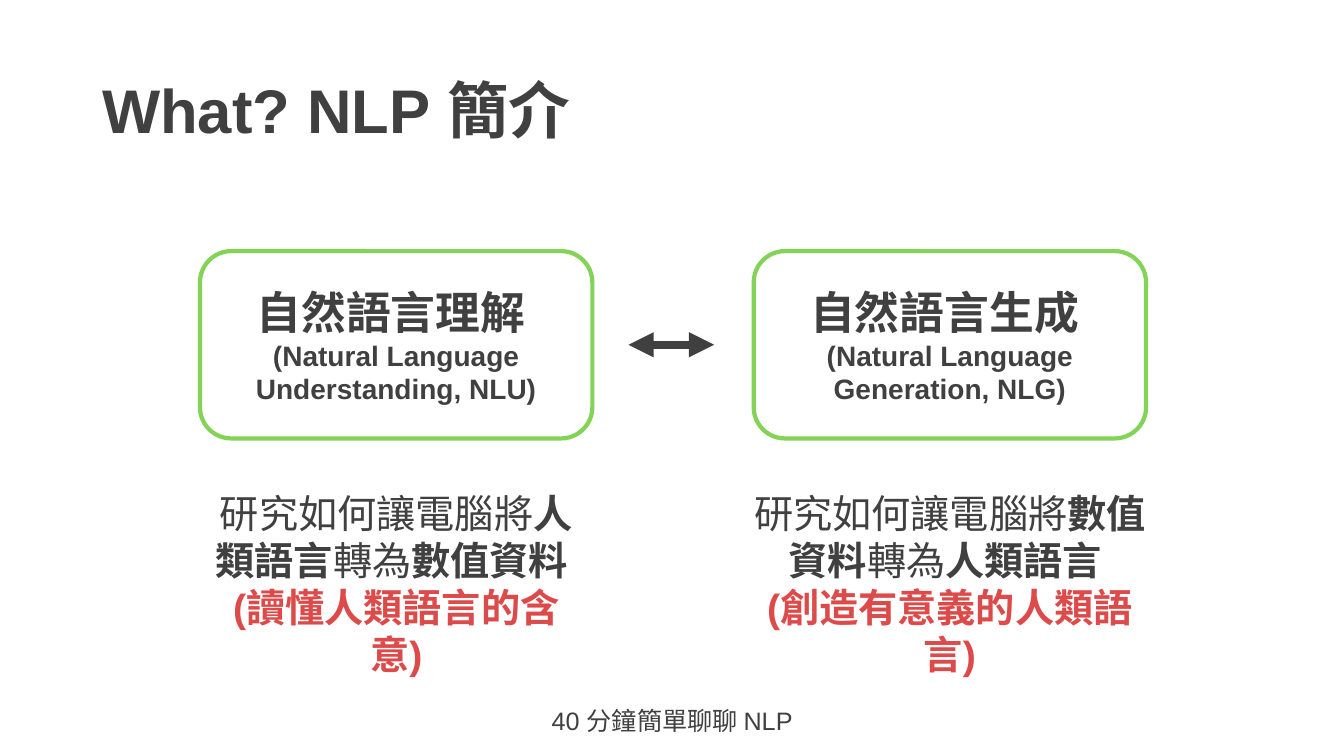
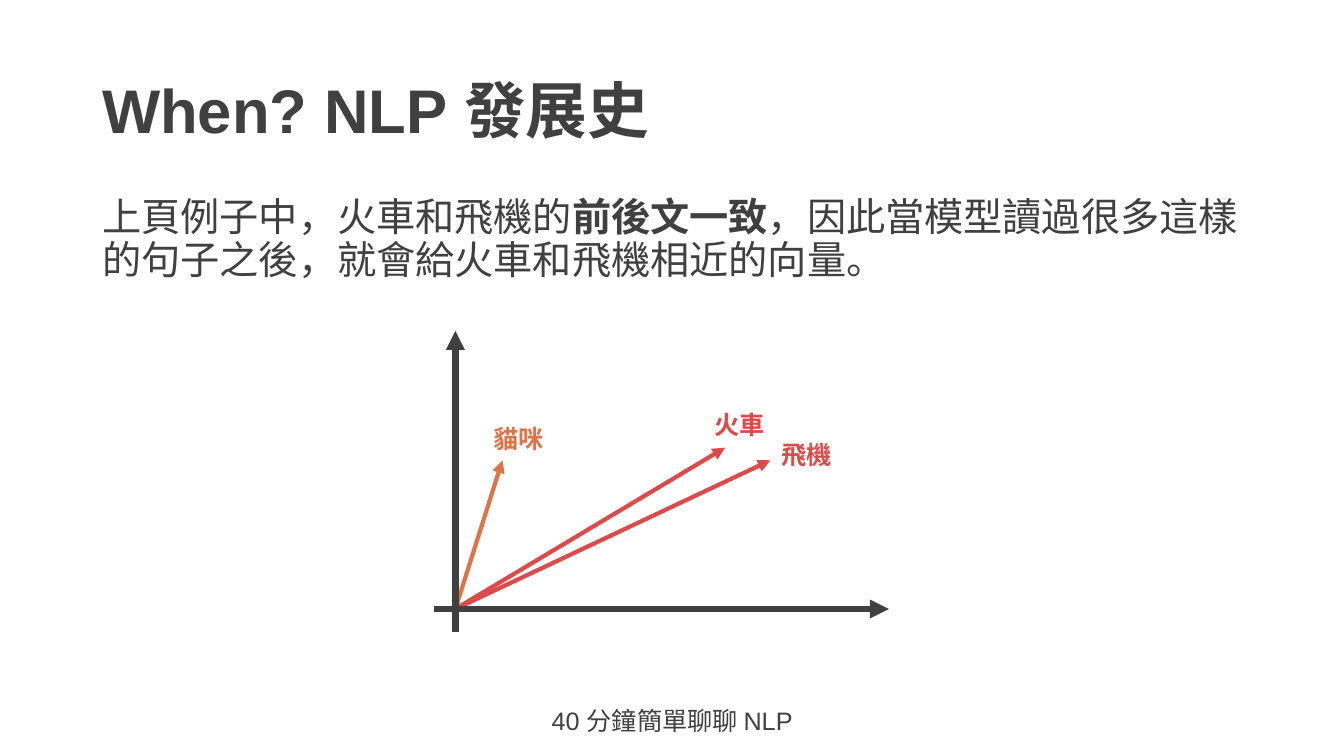
from lxml import etree
from pptx import Presentation
from pptx.dml.color import RGBColor
from pptx.enum.shapes import MSO_CONNECTOR, MSO_SHAPE
from pptx.enum.text import MSO_ANCHOR, PP_ALIGN
from pptx.oxml.ns import qn
from pptx.util import Inches, Pt

STRAIGHT = MSO_CONNECTOR.STRAIGHT
ROUNDED = MSO_SHAPE.ROUNDED_RECTANGLE
TOP, MIDDLE = MSO_ANCHOR.TOP, MSO_ANCHOR.MIDDLE
LEFT, CENTER = PP_ALIGN.LEFT, PP_ALIGN.CENTER

FONT = "Arial"
COLORS = {"ink": "404040", "green": "82D357", "red": "DD4A4A", "orange": "DD744A"}
FOOTER = "40 分鐘簡單聊聊 NLP"

# Grid of 160 columns and 90 rows with square cells
COLUMNS, ROWS = 160, 90
deck = Presentation()
deck.slide_width = Inches(13.33)
deck.slide_height = Inches(7.5)
CELL = deck.slide_height / ROWS
MARGIN, CONTENT = 11, 138


def write(box, paragraphs, align=LEFT, anchor=TOP, wrap=True, spacing=None):
    """Fill a shape; each paragraph is a list of (text, size, bold, color)."""
    frame = box.text_frame
    frame.word_wrap = wrap
    frame.vertical_anchor = anchor
    for index, spans in enumerate(paragraphs):
        para = frame.add_paragraph() if index else frame.paragraphs[0]
        para.alignment = align
        para.line_spacing = spacing
        for text, size, bold, color in spans:
            span = para.add_run()
            span.text = text
            span.font.name = FONT
            span.font.size = Pt(size)
            span.font.bold = bold
            span.font.color.rgb = RGBColor.from_string(COLORS[color])


def draw_arrow(page, start, end, color, width, ends=("tailEnd",)):
    """Draw a straight arrow between two (column, row) points."""
    points = [round(value * CELL) for value in (*start, *end)]
    arrow = page.shapes.add_connector(STRAIGHT, *points)
    arrow.line.color.rgb = RGBColor.from_string(COLORS[color])
    arrow.line.width = Pt(width)
    outline = arrow.line._get_or_add_ln()
    for end_name in ends:
        etree.SubElement(outline, qn(f"a:{end_name}"), type="triangle")
    etree.SubElement(outline.getparent(), qn("a:effectLst"))
    return arrow


# Pages with the shared title and footer
pages = []
for title in ("What? NLP 簡介", "When? NLP 發展史"):
    page = deck.slides.add_slide(deck.slide_layouts[6])
    box = page.shapes.add_textbox(*(round(v * CELL) for v in (MARGIN, 4.8, CONTENT, 17.4)))
    write(box, [[(title, 44, True, "ink")]], anchor=MIDDLE, spacing=0.9)
    box = page.shapes.add_textbox(*(round(v * CELL) for v in (53, 83.4, 54, 4.8)))
    write(box, [[(FOOTER, 18, False, "ink")]], align=CENTER)
    pages.append(page)
intro, history = pages

# Intro: two fields, each a framed name above a description
CARD_LEFT, CARD_TOP, CARD_WIDTH, CARD_HEIGHT, CARD_STEP = 23.8, 29.9, 46.7, 22.3, 65.9
fields = [
    ("自然語言理解 ", "(Natural Language Understanding, NLU)",
     "人類語言", "數值資料 ", "(讀懂人類語言的含意)", 46.7),
    ("自然語言生成 ", "(Natural Language Generation, NLG)",
     "數值資料", "人類語言 ", "(創造有意義的人類語言)", 51.4),
]
for index, (name, english, source, target, summary, text_width) in enumerate(fields):
    left = CARD_LEFT + index * CARD_STEP
    card = intro.shapes.add_shape(
        ROUNDED, *(round(v * CELL) for v in (left, CARD_TOP, CARD_WIDTH, CARD_HEIGHT)))
    card.shadow.inherit = False
    card.fill.background()
    card.line.color.rgb = RGBColor.from_string(COLORS["green"])
    card.line.width = Pt(3)
    write(card, [[(name, 32, True, "ink")], [(english, 20, True, "ink")]],
          align=CENTER, anchor=MIDDLE)

    text_left = left + (CARD_WIDTH - text_width) / 2
    box = intro.shapes.add_textbox(
        *(round(v * CELL) for v in (text_left, 57.6, text_width, 18.1)))
    write(box, [
        [("研究如何讓電腦將", 28, False, "ink"), (source, 28, True, "ink"),
         ("轉為", 28, False, "ink"), (target, 28, True, "ink")],
        [(summary, 28, True, "red")],
    ], align=CENTER)

# Intro: double arrow between the fields
arrow_row = CARD_TOP + CARD_HEIGHT / 2
draw_arrow(intro, (74.8, arrow_row), (85, arrow_row), "ink", 6, ("headEnd", "tailEnd"))

# History: explanation
box = history.shapes.add_textbox(*(round(v * CELL) for v in (MARGIN, 23, CONTENT, 11.8)))
write(box, [[
    ("上頁例子中，火車和飛機的", 28, False, "ink"),
    ("前後文一致", 28, True, "ink"),
    ("，因此當模型讀過很多這樣的句子之後，就會給火車和飛機相近的向量。", 28, False, "ink"),
]], spacing=0.9)

# History: word vectors from a common origin, with their labels
ORIGIN_X, ORIGIN_Y = 54.2, 72.5
vectors = [
    ("火車", "red", (86.3, 53.3), (83.8, 48.2)),
    ("飛機", "red", (91.7, 54.8), (91.8, 51.7)),
    ("貓咪", "orange", (59.8, 54.8), (57.5, 49.8)),
]
for word, color, tip, corner in vectors:
    draw_arrow(history, (ORIGIN_X, ORIGIN_Y), tip, color, 3)
    box = history.shapes.add_textbox(*(round(v * CELL) for v in (*corner, 8.5, 4.8)))
    write(box, [[(word, 18, True, color)]], wrap=False)

# History: axes
draw_arrow(history, (51.6, ORIGIN_Y), (105.8, ORIGIN_Y), "ink", 4.5)
draw_arrow(history, (ORIGIN_X, 75.2), (ORIGIN_X, 39.4), "ink", 4.5)

deck.save("out.pptx")
